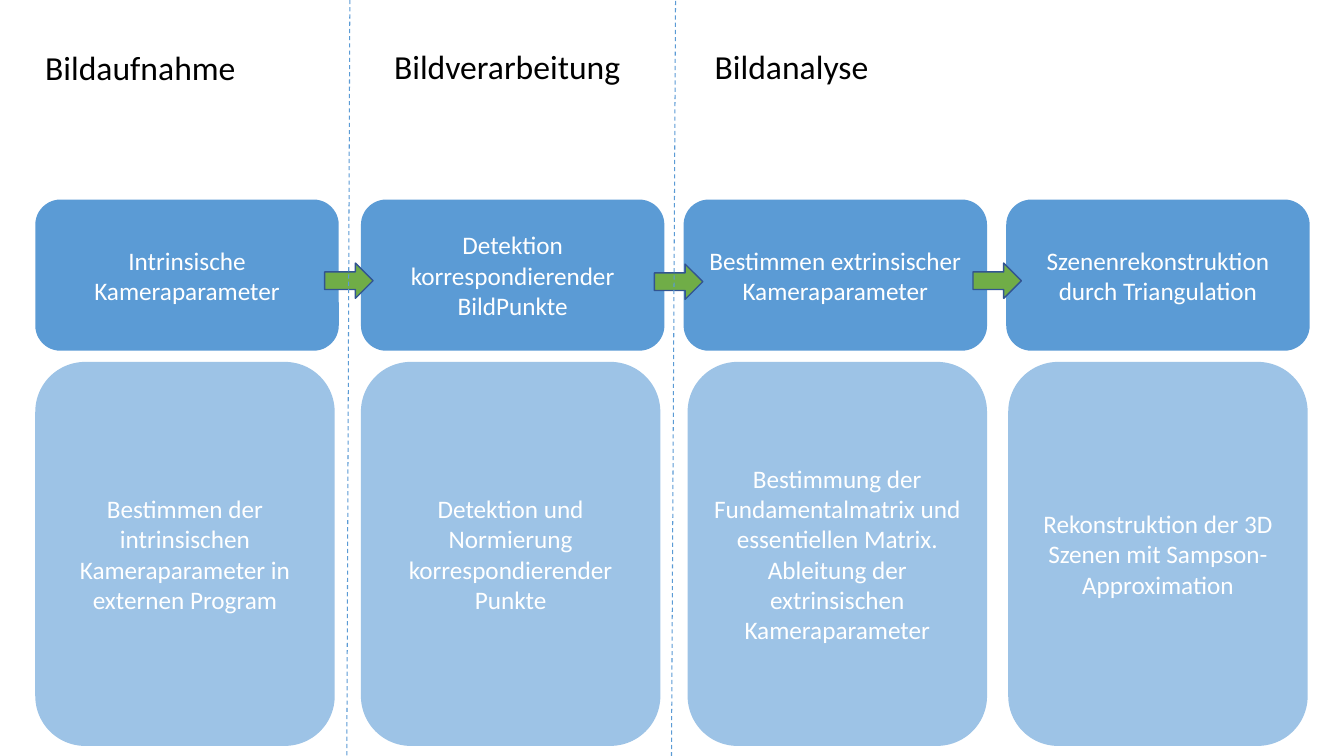
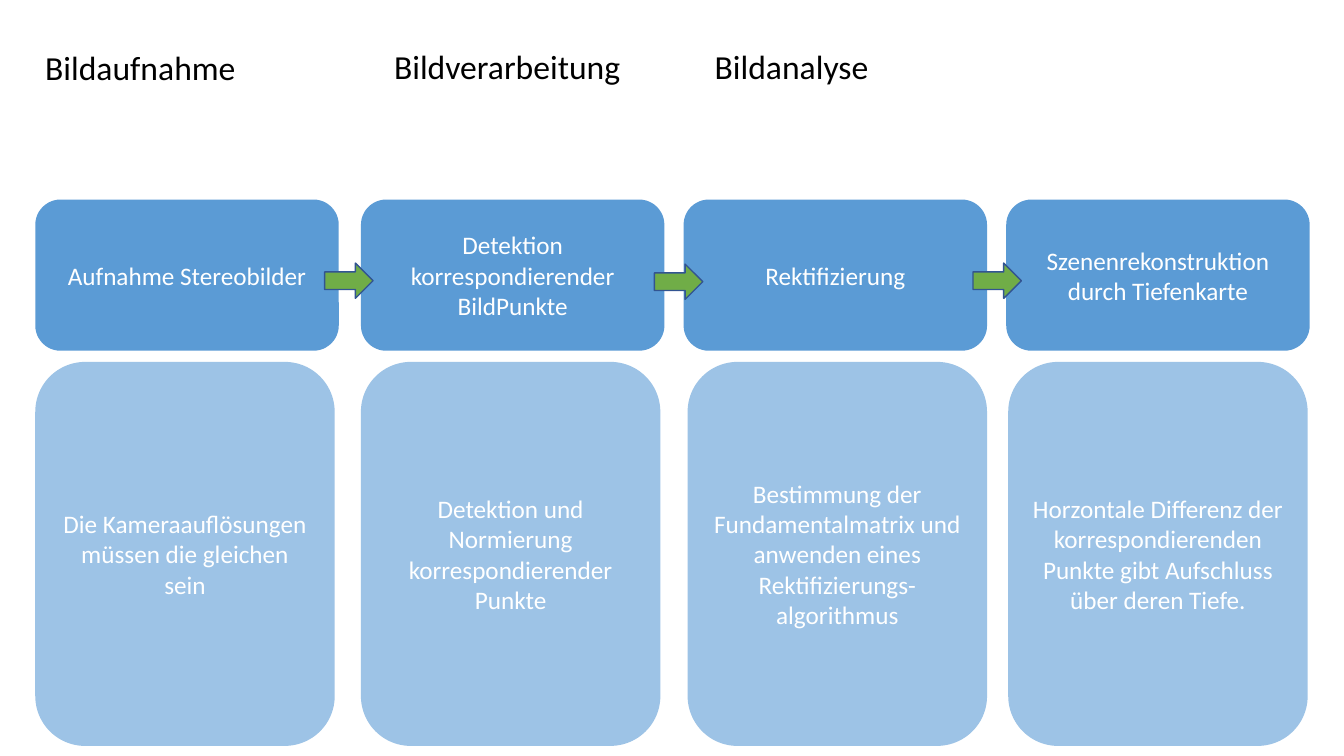
"""Build two slides that compare two image processing pipelines."""
from pptx import Presentation
from pptx import util as u
from pptx.dml.color import RGBColor
from pptx.enum import dml, shapes, text
from pptx.oxml.ns import qn
from lxml import etree

BLUE = RGBColor(0x5B, 0x9B, 0xD5)
LIGHT_BLUE = RGBColor(0x9D, 0xC3, 0xE6)
GREEN = RGBColor(0x70, 0xAD, 0x47)
ARROW_EDGE = RGBColor(0x32, 0x54, 0x91)
WHITE = RGBColor(0xFF, 0xFF, 0xFF)
BLACK = RGBColor(0, 0, 0)
FONT = "Calibri"

HEADINGS = [("Bildaufnahme", 0.35, 0.42), ("Bildverarbeitung", 3.81, 0.41), ("Bildanalyse", 6.99, 0.41)]
STEP_LEFTS = [0.35, 3.58, 6.78, 9.98]
DETAIL_LEFTS = [0.35, 3.58, 6.82, 10]
ARROWS = [(3.22, 2.61), (6.49, 2.62), (9.65, 2.61)]
DIVIDERS = [(3.47, 0, 3.44, 7.5), (6.7, 0.01, 6.66, 7.51)]

RECONSTRUCTION = [
    ("Intrinsische Kameraparameter",
     "Bestimmen der intrinsischen Kameraparameter in externen Program"),
    ("Detektion korrespondierender BildPunkte",
     "Detektion und Normierung korrespondierender Punkte"),
    ("Bestimmen extrinsischer Kameraparameter",
     "Bestimmung der Fundamentalmatrix und essentiellen Matrix. "
     "Ableitung der extrinsischen Kameraparameter"),
    ("Szenenrekonstruktion durch Triangulation",
     "Rekonstruktion der 3D Szenen mit Sampson-Approximation"),
]
DEPTH_MAP = [
    ("Aufnahme Stereobilder",
     "Die Kameraauflösungen müssen die gleichen sein"),
    RECONSTRUCTION[1],
    ("Rektifizierung",
     "Bestimmung der Fundamentalmatrix und anwenden eines Rektifizierungs-algorithmus"),
    ("Szenenrekonstruktion durch Tiefenkarte",
     "Horzontale Differenz der korrespondierenden Punkte gibt Aufschluss über deren Tiefe."),
]


class Deck:
    """Hold the presentation, its style and the current slide."""

    def __init__(self):
        self.presentation = Presentation()
        self.presentation.slide_width = u.Inches(13.33)
        self.presentation.slide_height = u.Inches(7.5)
        self.slide = None

    def add_slide(self):
        self.slide = self.presentation.slides.add_slide(self.presentation.slide_layouts[6])

    def add_text(self, frame, words, size, color, alignment):
        frame.word_wrap = True
        paragraph = frame.paragraphs[0]
        paragraph.alignment = alignment
        run = paragraph.add_run()
        run.text = words
        run.font.name = FONT
        run.font.size = u.Pt(size)
        run.font.color.rgb = color

    def heading(self, words, left, top):
        box = self.slide.shapes.add_textbox(u.Inches(left), u.Inches(top), u.Inches(3.01), u.Inches(0.5))
        self.add_text(box.text_frame, words, 24, BLACK, text.PP_ALIGN.LEFT)
        box.text_frame.auto_size = text.MSO_AUTO_SIZE.SHAPE_TO_FIT_TEXT

    def filled_shape(self, kind, left, top, width, height, fill):
        shape = self.slide.shapes.add_shape(
            kind, u.Inches(left), u.Inches(top), u.Inches(width), u.Inches(height))
        shape.shadow.inherit = False
        shape.fill.solid()
        shape.fill.fore_color.rgb = fill
        return shape

    def card(self, words, left, top, width, height, fill):
        shape = self.filled_shape(shapes.MSO_SHAPE.ROUNDED_RECTANGLE, left, top, width, height, fill)
        shape.line.fill.background()
        shape.text_frame.vertical_anchor = text.MSO_ANCHOR.MIDDLE
        self.add_text(shape.text_frame, words, 18, WHITE, text.PP_ALIGN.CENTER)

    def arrow(self, left, top):
        shape = self.filled_shape(shapes.MSO_SHAPE.RIGHT_ARROW, left, top, 0.48, 0.35, GREEN)
        shape.line.color.rgb = ARROW_EDGE
        shape.line.width = u.Pt(1)

    def divider(self, *ends):
        connector = self.slide.shapes.add_connector(
            shapes.MSO_CONNECTOR.STRAIGHT, *[u.Inches(end) for end in ends])
        connector.line.color.rgb = BLUE
        connector.line.width = u.Pt(0.75)
        connector.line.dash_style = dml.MSO_LINE.DASH
        etree.SubElement(connector._element.spPr, qn("a:effectLst"))

    def pipeline(self, stages):
        self.add_slide()
        for heading in HEADINGS:
            self.heading(*heading)
        for (step, detail), step_left, detail_left in zip(stages, STEP_LEFTS, DETAIL_LEFTS):
            self.card(step, step_left, 1.98, 3.01, 1.5, BLUE)
            self.card(detail, detail_left, 3.59, 2.97, 3.81, LIGHT_BLUE)
        for position in ARROWS:
            self.arrow(*position)


deck = Deck()
deck.pipeline(RECONSTRUCTION)
for ends in DIVIDERS:
    deck.divider(*ends)
deck.pipeline(DEPTH_MAP)
deck.presentation.save("out.pptx")
